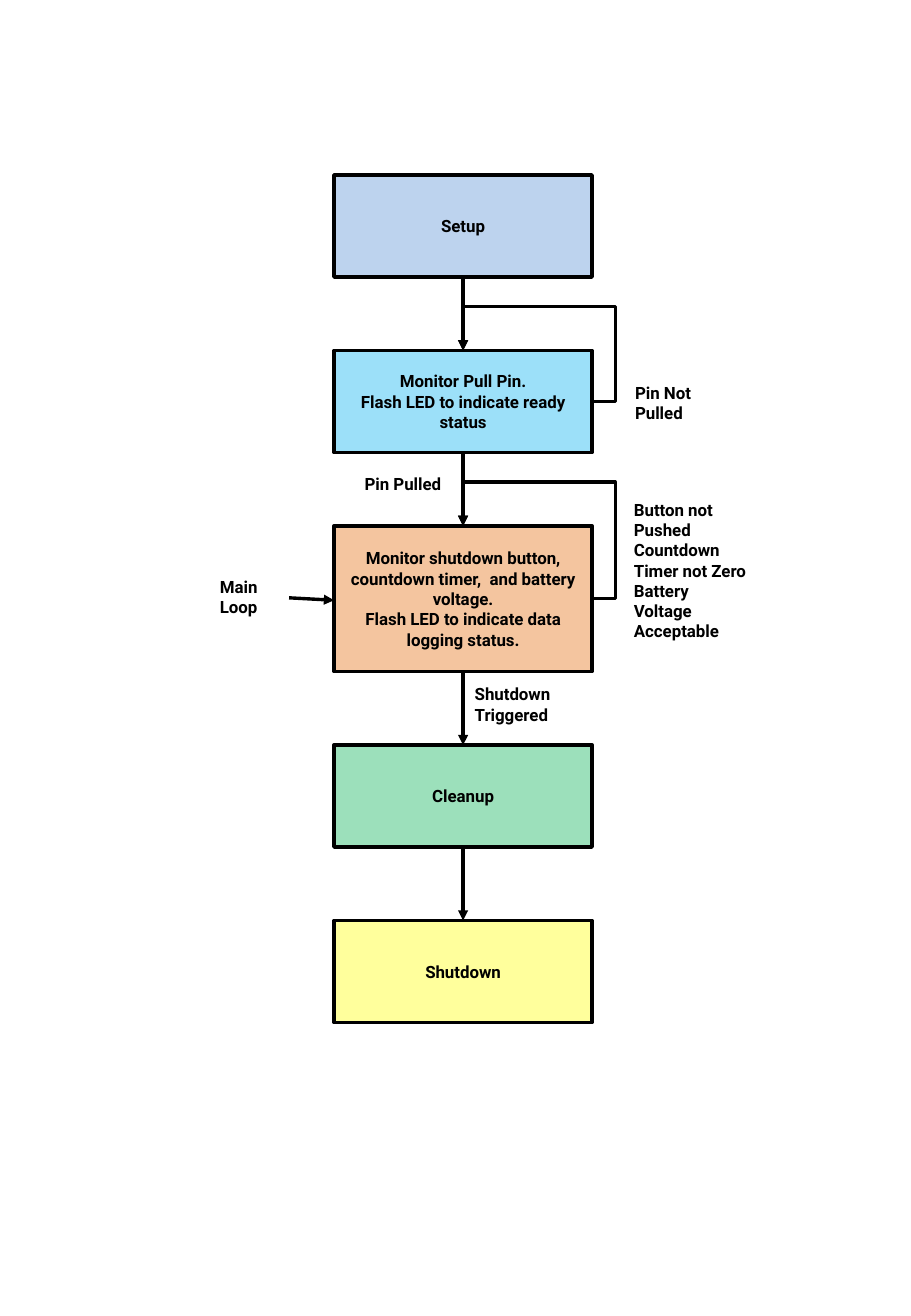
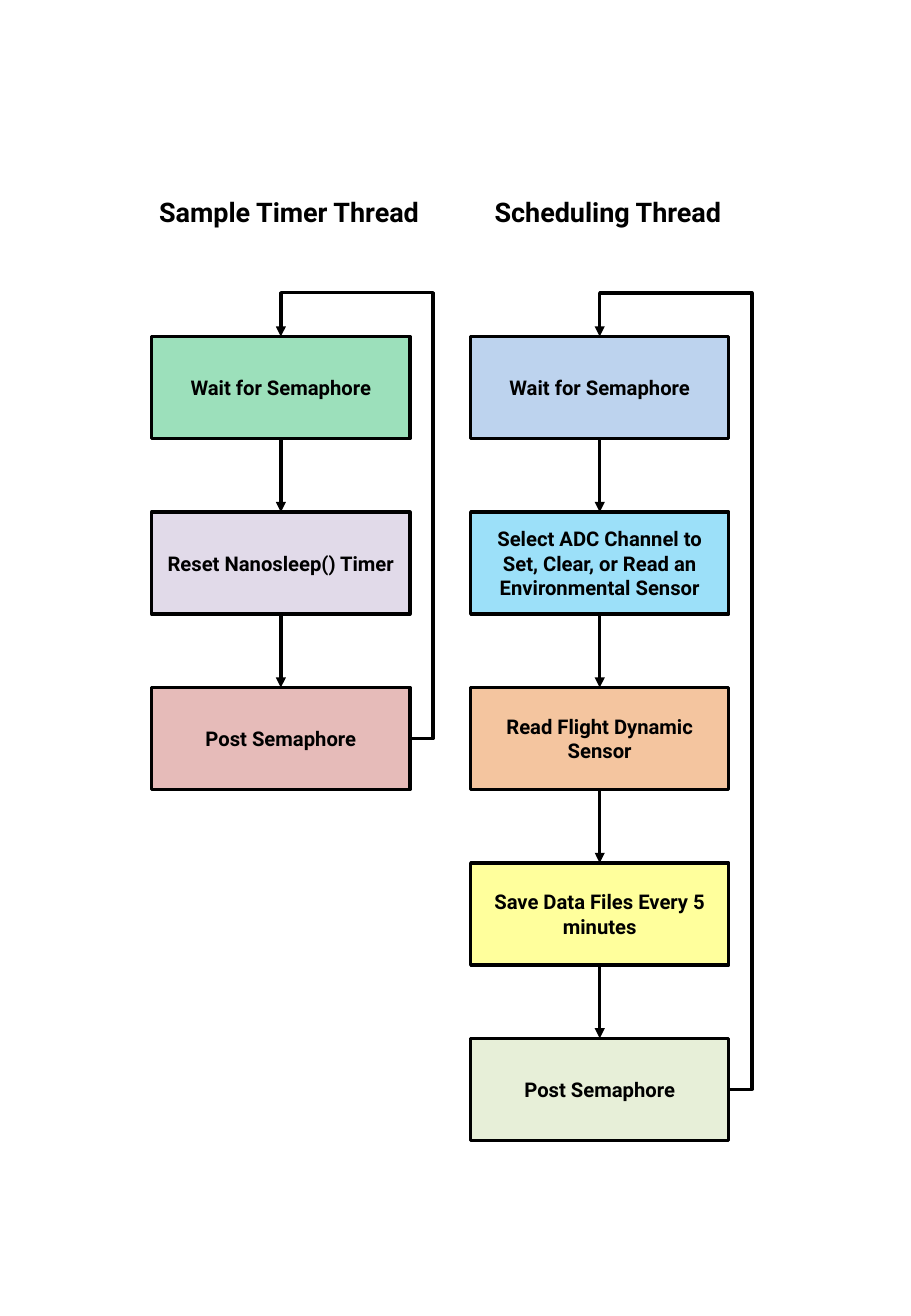
"""Build two flowchart slides: the main program flow and its two threads."""
from lxml.etree import SubElement
from pptx import Presentation
from pptx.dml.color import RGBColor
from pptx.enum.shapes import MSO_CONNECTOR as CONN, MSO_SHAPE as SHAPE
from pptx.enum.text import MSO_ANCHOR as ANCHOR, PP_ALIGN as ALIGN
from pptx.oxml.ns import qn
from pptx.util import Inches, Pt

FONT = "Roboto"
BLACK = "000000"
BLUE, CYAN, ORANGE, YELLOW = "558ED5", "00B0F0", "E46C0A", "FFFF00"
GREEN, PURPLE, RED, OLIVE = "00B050", "B3A2C7", "C0504D", "C3D69B"
OPACITY = 39
LINE = 2
BOX_W, BOX_H = 2.125, 0.84
GAP = 0.604
LANE, RISE = 0.19, 0.36


def add_text(s, at, text, size, fill=None, align=ALIGN.CENTER, anchor=ANCHOR.MIDDLE):
    at = [Inches(v) for v in at]
    if fill:
        sp = s.shapes.add_shape(SHAPE.RECTANGLE, *at)
        sp.shadow.inherit = False
        sp.fill.solid()
        sp.fill.fore_color.rgb = RGBColor.from_string(fill)
        color = sp.element.spPr.find(qn("a:solidFill"))[0]
        SubElement(color, qn("a:alpha"), val=str(OPACITY * 1000))
        sp.line.color.rgb = RGBColor.from_string(BLACK)
        sp.line.width = Pt(LINE)
    else:
        sp = s.shapes.add_textbox(*at)
    tf = sp.text_frame
    tf.word_wrap = True
    tf.vertical_anchor = anchor
    tf.text = text
    for p in tf.paragraphs:
        p.alignment = align
        p.font.name = FONT
        p.font.size = Pt(size)
        p.font.bold = True
        p.font.color.rgb = RGBColor.from_string(BLACK)


def add_arrow(s, start, end, loop=False):
    kind = CONN.ELBOW if loop else CONN.STRAIGHT
    c = s.shapes.add_connector(kind, *[Inches(v) for v in (*start, *end)])
    c.line.color.rgb = RGBColor.from_string(BLACK)
    c.line.width = Pt(LINE)
    spPr = c.element.spPr
    SubElement(spPr.find(qn("a:ln")), qn("a:tailEnd"), type="triangle")
    SubElement(spPr, qn("a:effectLst"))
    if loop:
        geom = spPr.find(qn("a:prstGeom"))
        geom.set("prst", "bentConnector4")
        guides = geom.find(qn("a:avLst"))
        if guides is None:
            guides = SubElement(geom, qn("a:avLst"))
        w, h = start[0] - end[0], start[1] - end[1]
        for name, ratio in (("adj1", -LANE / w), ("adj2", 1 + RISE / h)):
            SubElement(guides, qn("a:gd"), name=name, fmla=f"val {round(ratio * 100000)}")


prs = Presentation()
prs.slide_width, prs.slide_height = Inches(7.5), Inches(10.83)
main, threads = [prs.slides.add_slide(prs.slide_layouts[6]) for _ in range(2)]

main_steps = [
    ("Setup", BLUE, BOX_H),
    ("Monitor Pull Pin.\nFlash LED to indicate ready status", CYAN, BOX_H),
    ("Monitor shutdown button, countdown timer,  and battery voltage.\n"
     "Flash LED to indicate data logging status.", ORANGE, 1.2),
    ("Cleanup", GREEN, BOX_H),
    ("Shutdown", YELLOW, BOX_H),
]
timer_steps = [
    ("Wait for Semaphore", GREEN, BOX_H),
    ("Reset Nanosleep() Timer", PURPLE, BOX_H),
    ("Post Semaphore", RED, BOX_H),
]
scheduling_steps = [
    ("Wait for Semaphore", BLUE, BOX_H),
    ("Select ADC Channel to Set, Clear, or Read an Environmental Sensor", CYAN, BOX_H),
    ("Read Flight Dynamic Sensor", ORANGE, BOX_H),
    ("Save Data Files Every 5 minutes", YELLOW, BOX_H),
    ("Post Semaphore", OLIVE, BOX_H),
]
flows = [
    (main, 2.75, 1.44, 10, main_steps, [(1, 1), (2, 2)]),
    (threads, 1.25, 2.77, 12, timer_steps, [(2, 0)]),
    (threads, 3.875, 2.77, 12, scheduling_steps, [(4, 0)]),
]
for s, left, top, size, steps, loops in flows:
    center = left + BOX_W / 2
    spans = []
    for text, color, height in steps:
        add_text(s, (left, top, BOX_W, height), text, size, color)
        if spans:
            add_arrow(s, (center, spans[-1][1]), (center, top))
        spans.append((top, top + height))
        top += height + GAP
    for source, target in loops:
        middle = sum(spans[source]) / 2
        add_arrow(s, (left + BOX_W, middle), (center, spans[target][0]), loop=True)

labels = [
    ((5.13, 3.1, 0.87, 0.44), "Pin Not Pulled", ALIGN.LEFT),
    ((2.75, 3.85, 0.98, 0.27), "Pin Pulled", ALIGN.RIGHT),
    ((5.12, 4.06, 1.12, 1.45),
     "Button not Pushed\nCountdown Timer not Zero\nBattery Voltage Acceptable", ALIGN.LEFT),
    ((3.81, 5.58, 1.44, 0.44), "Shutdown Triggered", ALIGN.LEFT),
]
for at, text, align in labels:
    add_text(main, at, text, 10, align=align, anchor=ANCHOR.TOP)
add_text(main, (1.56, 4.57, 0.81, 0.68), "Main Loop", 10)
add_arrow(main, (2.38, 4.92), (2.75, 4.94))

add_text(threads, (1.19, 1.32, 2.38, 0.84), "Sample Timer Thread", 16)
add_text(threads, (3.88, 1.32, 2.25, 0.84), "Scheduling Thread", 16)

prs.save("out.pptx")
